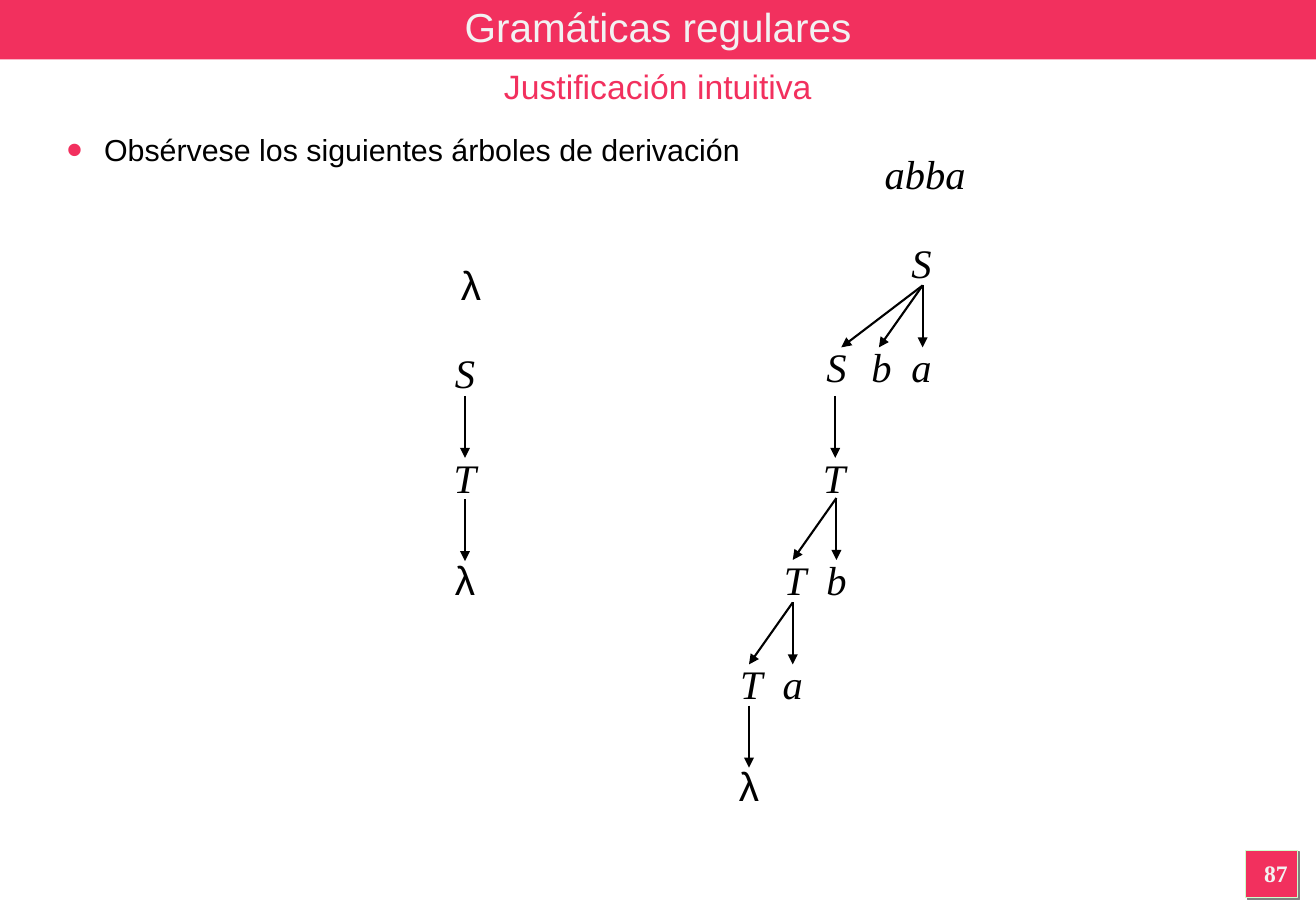
from lxml import etree
from pptx import Presentation
from pptx.dml.color import RGBColor
from pptx.enum.shapes import MSO_CONNECTOR, MSO_SHAPE
from pptx.enum.text import MSO_ANCHOR, MSO_AUTO_SIZE, PP_ALIGN
from pptx.oxml import parse_xml
from pptx.oxml.ns import nsdecls, qn
from pptx.util import Pt

# Content, in px (100 px to the inch)
PX = 9144
WIDTH, HEIGHT = 1084, 750
TITLE = "Gramáticas regulares"
SUBTITLE = "Justificación intuitiva"
BULLET = "Obsérvese los siguientes árboles de derivación"
PAGE = "87"

# Rows of symbols: top, then (symbol, centre x)
LAMBDA_TREE = [
    (209, [("λ", 388)]),
    (282, [("S", 383)]),
    (368, [("T", 383)]),
    (452, [("λ", 383)]),
]
ABBA_TREE = [
    (118, [("abba", 762)]),
    (191, [("S", 759)]),
    (277, [("S", 689), ("b", 726), ("a", 759)]),
    (368, [("T", 687)]),
    (452, [("T", 655), ("b", 689)]),
    (538, [("T", 619), ("a", 653)]),
    (622, [("λ", 617)]),
]
# Fans of arrows: start x, start y, x of each tip
FANS = [
    (383, 326, [383]),
    (383, 411, [383]),
    (760, 235, [693, 724, 760]),
    (688, 326, [688]),
    (689, 410, [653, 689]),
    (653, 496, [617, 653]),
    (617, 581, [617]),
]
ARROW_DROP = 51
SYMBOL_W, SYMBOL_H = 38, 50

PINK = RGBColor(0xF2, 0x30, 0x5E)
PALE = RGBColor(0xF2, 0xF2, 0xF2)
MINT = RGBColor(0xCC, 0xFF, 0xCC)
BLACK = RGBColor(0, 0, 0)
SANS, SERIF = "Arial", "Times New Roman"


def px(*lengths):
    return [n * PX for n in lengths]


def write(sp, text, size=24, font=SANS, color=BLACK, bold=False, italic=False,
          align=PP_ALIGN.CENTER, anchor=MSO_ANCHOR.TOP, wrap=True):
    tf = sp.text_frame
    tf.word_wrap = wrap
    tf.auto_size = MSO_AUTO_SIZE.NONE
    tf.vertical_anchor = anchor
    p = tf.paragraphs[0]
    p.alignment = align
    r = p.add_run()
    r.text = text
    f = r.font
    f.size, f.name, f.bold, f.italic = Pt(size), font, bold, italic
    f.color.rgb = color
    return p


def add_text(box, text, **fmt):
    return write(slide.shapes.add_textbox(*px(*box)), text, **fmt)


def add_block(box):
    sp = slide.shapes.add_shape(MSO_SHAPE.RECTANGLE, *px(*box))
    sp.shadow.inherit = False
    sp.fill.solid()
    sp.fill.fore_color.rgb = PINK
    sp.line.fill.background()
    return sp


def add_arrow(x1, y1, x2, y2):
    line = slide.shapes.add_connector(MSO_CONNECTOR.STRAIGHT, *px(x1, y1, x2, y2))
    line.line.color.rgb = BLACK
    line.line.width = Pt(1.25)
    etree.SubElement(line.line._get_or_add_ln(), qn("a:tailEnd"), type="triangle")
    etree.SubElement(line._element.spPr, qn("a:effectLst"))


prs = Presentation()
prs.slide_width, prs.slide_height = px(WIDTH, HEIGHT)
slide = prs.slides.add_slide(prs.slide_layouts[5])

# Page number block and its hard shadow
block = add_block((1026, 700, 43, 39))
block.line.color.rgb = MINT
block.line.width = Pt(0.75)
block._element.spPr.find(qn("a:effectLst")).append(parse_xml(
    f'<a:outerShdw {nsdecls("a")} dist="{Pt(1.4)}" dir="2700000" algn="ctr" '
    'rotWithShape="0"><a:srgbClr val="808080"/></a:outerShdw>'))

# Title on its band
add_block((0, 0, WIDTH, 49))
title = slide.shapes.title
title._element.getparent().append(title._element)
title.left, title.top, title.width, title.height = px(0, 0, WIDTH, 44)
write(title, TITLE, color=PALE, anchor=MSO_ANCHOR.MIDDLE)

# Bullet and subtitle
p = add_text((45, 103, 996, 575), BULLET, size=18, align=PP_ALIGN.LEFT)
p.space_before = Pt(4.5)
pPr = p._p.get_or_add_pPr()
indent = 31 * PX
pPr.set("marL", str(indent))
pPr.set("indent", str(-indent))
color = etree.SubElement(pPr, qn("a:buClr"))
etree.SubElement(color, qn("a:srgbClr"), val=str(PINK))
etree.SubElement(pPr, qn("a:buSzPct"), val="150000")
etree.SubElement(pPr, qn("a:buFont"), typeface=SANS)
etree.SubElement(pPr, qn("a:buChar"), char="•")
add_text((0, 49, WIDTH, 44), SUBTITLE, size=20, color=PINK)

# Derivation trees
for top, symbols in LAMBDA_TREE + ABBA_TREE:
    for symbol, x in symbols:
        w = SYMBOL_W if len(symbol) == 1 else 86
        greek = symbol == "λ"
        add_text((x - w // 2, top, w, SYMBOL_H), symbol, wrap=False,
                 font=SANS if greek else SERIF, italic=not greek)
for x, y, tips in FANS:
    for tip in tips:
        add_arrow(x, y, tip, y + ARROW_DROP)

# Page number
add_text((1024, 702, 54, 35), PAGE, size=14, font=SERIF, color=PALE, bold=True)

prs.save("out.pptx")
